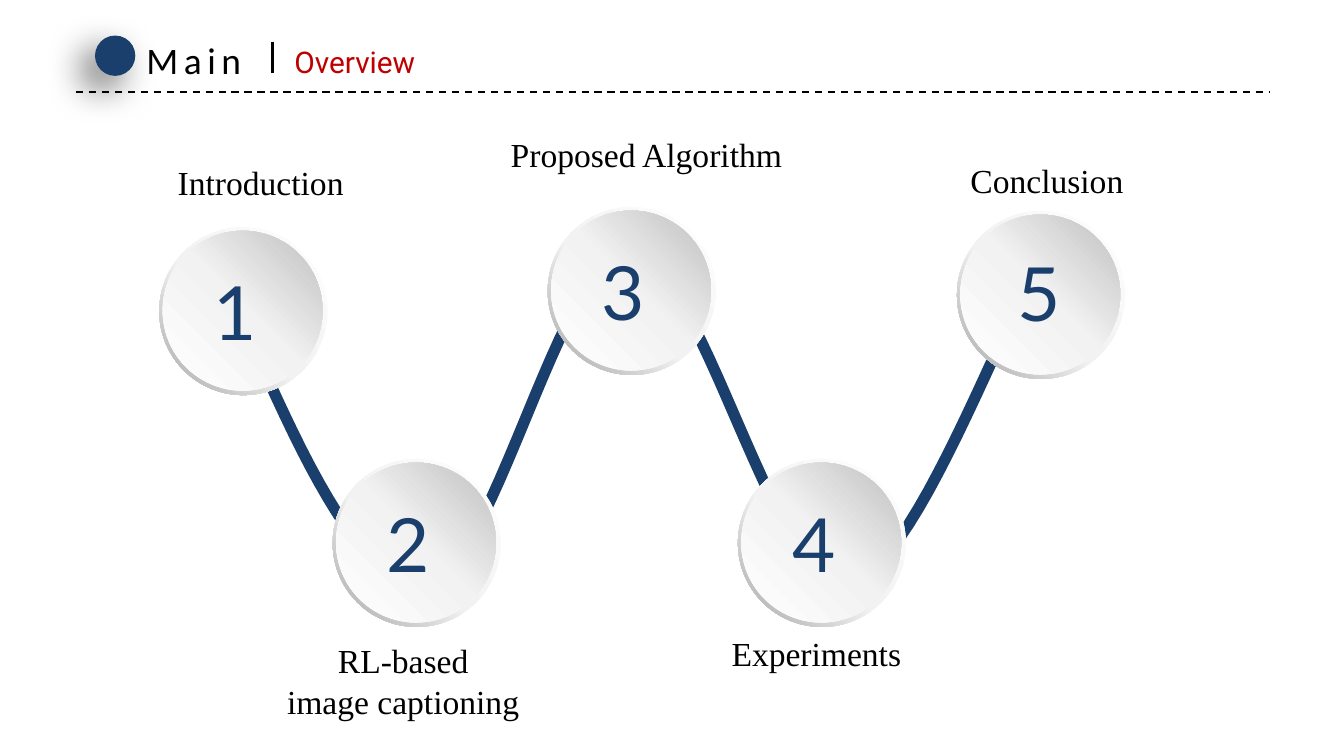
from pptx import Presentation
from pptx.dml.color import RGBColor
from pptx.enum.dml import MSO_LINE
from pptx.enum.shapes import MSO_CONNECTOR, MSO_SHAPE
from pptx.enum.text import MSO_AUTO_SIZE, PP_ALIGN
from pptx.oxml import parse_xml
from pptx.oxml.ns import nsdecls
from pptx.util import Inches, Pt

STRAIGHT = MSO_CONNECTOR.STRAIGHT
OVAL, DONUT = MSO_SHAPE.OVAL, MSO_SHAPE.DONUT
LEFT, CENTER = PP_ALIGN.LEFT, PP_ALIGN.CENTER
FIT_SHAPE = MSO_AUTO_SIZE.SHAPE_TO_FIT_TEXT
DASH = MSO_LINE.DASH

NAVY = RGBColor(0x1A, 0x3F, 0x6C)
RED = RGBColor(0xC0, 0x00, 0x00)
BLACK = RGBColor(0x00, 0x00, 0x00)
WHITE = RGBColor(0xFF, 0xFF, 0xFF)
PALE = RGBColor(0xF2, 0xF2, 0xF2)
SILVER = RGBColor(0xBF, 0xBF, 0xBF)
GREY = RGBColor(0xA6, 0xA6, 0xA6)

# Square grid: 100 columns by 56.25 rows
CELL = Inches(0.1)
COLUMNS, ROWS = 100, 56.25


def grid(*cells):
    return [round(cell * CELL) for cell in cells]


def add_text(shapes, place, text, size, font, color, align=LEFT):
    box = shapes.add_textbox(*grid(*place))
    frame = box.text_frame
    frame.word_wrap = False
    frame.auto_size = FIT_SHAPE
    frame.text = text
    for para in frame.paragraphs:
        para.alignment = align
        for span in para.runs:
            span.font.size = Pt(size)
            span.font.name = font
            span.font.color.rgb = color
    return box


deck = Presentation()
deck.slide_width, deck.slide_height = grid(COLUMNS, ROWS)
page = deck.slides.add_slide(deck.slide_layouts[6])
shapes = page.shapes

# Winding path behind the steps: Bezier segments sampled into short lines
anchors = [(16, 19.1), (31.4, 43.5), (46.8, 18.8), (62.7, 43.5), (77.9, 18.8)]
controls = [
    ((21.2, 31.3), (26.3, 43.6)),
    ((36.6, 43.5), (41.6, 18.8)),
    ((52, 18.8), (57.5, 43.5)),
    ((67.9, 43.5), (75.2, 22)),
]
SAMPLES = 24
points = []
for start, (first, second), end in zip(anchors, controls, anchors[1:]):
    for step in range(1, SAMPLES + 1):
        t = step / SAMPLES
        u = 1 - t
        points.append(grid(*(
            u**3 * a + 3 * u * u * t * b + 3 * u * t * t * c + t**3 * d
            for a, b, c, d in zip(start, first, second, end)
        )))
builder = shapes.build_freeform(*grid(*anchors[0]))
builder.add_line_segments(points, close=False)
curve = builder.convert_to_shape()
curve.shadow.inherit = False
curve.fill.background()
curve.line.color.rgb = NAVY
curve.line.width = Pt(6)

# Header rule and divider
for ends, width, dash in [
    ((5.65, 6.83, 94.4, 6.83), 1, DASH),
    ((20.3, 3.15, 20.3, 5.4), 1.5, None),
]:
    rule = shapes.add_connector(STRAIGHT, *grid(*ends))
    rule.line.color.rgb = BLACK
    rule.line.width = Pt(width)
    rule.line.dash_style = dash
    rule._element.spPr.append(parse_xml(f"<a:effectLst {nsdecls('a')}/>"))

# Header dot with a soft shadow
dot = shapes.add_shape(OVAL, *grid(7.07, 2.65, 3, 3))
dot.fill.solid()
dot.fill.fore_color.rgb = NAVY
dot.line.fill.background()
dot._element.spPr.append(parse_xml(
    f"<a:effectLst {nsdecls('a')}>"
    f'<a:outerShdw blurRad="{Pt(20)}" dist="{Pt(10)}" dir="{135 * 60000}" '
    f'algn="tr" rotWithShape="0"><a:srgbClr val="{BLACK}">'
    '<a:alpha val="60000"/></a:srgbClr></a:outerShdw></a:effectLst>'
))

# Header titles
title = add_text(shapes, (9.9, 2.3, 9.6, 4.4), "Main", 20, "Calibri", BLACK)
title.text_frame.paragraphs[0].runs[0].font._element.set("spc", "300")
add_text(shapes, (20.93, 2.75, 11.3, 3.9), "Overview", 16, "Roboto", RED)

# Numbered steps: corner of the rim, then the label and its place
steps = [
    ((11.85, 16.9), "Introduction", (12.15, 11.55, 14.5, 4)),
    ((24.75, 34.15), "RL-based\nimage captioning", (20.25, 47.15, 19.5, 7.1)),
    ((40.75, 15.4), "Proposed Algorithm", (36.9, 9.5, 22.4, 4)),
    ((54.9, 34.15), "Experiments", (53.35, 46.6, 14.8, 4)),
    ((71.2, 15.7), "Conclusion", (71.15, 11.4, 13.5, 4)),
]
# Disc layers: shape, offset, diameter, gradient angle, middle stop, end colour
layers = [
    (DONUT, (0, 0), 12.5, 135, 55, GREY),
    (OVAL, (0.25, 0.27), 11.9, 315, 51, SILVER),
]
for number, ((x, y), label, place) in enumerate(steps, 1):
    group = shapes.add_group_shape()
    for kind, (dx, dy), size, angle, middle, edge in layers:
        disc = group.shapes.add_shape(kind, *grid(x + dx, y + dy, size, size))
        if kind == DONUT:
            disc.adjustments[0] = 0.05
        stops = "".join(
            f'<a:gs pos="{share * 1000}"><a:srgbClr val="{color}"/></a:gs>'
            for share, color in [(0, WHITE), (middle, PALE), (100, edge)]
        )
        disc._element.spPr.insert(2, parse_xml(
            f'<a:gradFill {nsdecls("a")} rotWithShape="1"><a:gsLst>{stops}'
            f'</a:gsLst><a:lin ang="{angle * 60000}" scaled="0"/></a:gradFill>'
        ))
        disc.line.fill.background()
        disc.shadow.inherit = False
    dx, dy = (3.5, 2.2) if number == len(steps) else (3.05, 2.4)
    add_text(group.shapes, (x + dx, y + dy, 6.4, 7.7), str(number), 40, "Lato", NAVY)
    add_text(shapes, place, label, 18, "Times New Roman", BLACK, CENTER)

deck.save("out.pptx")
